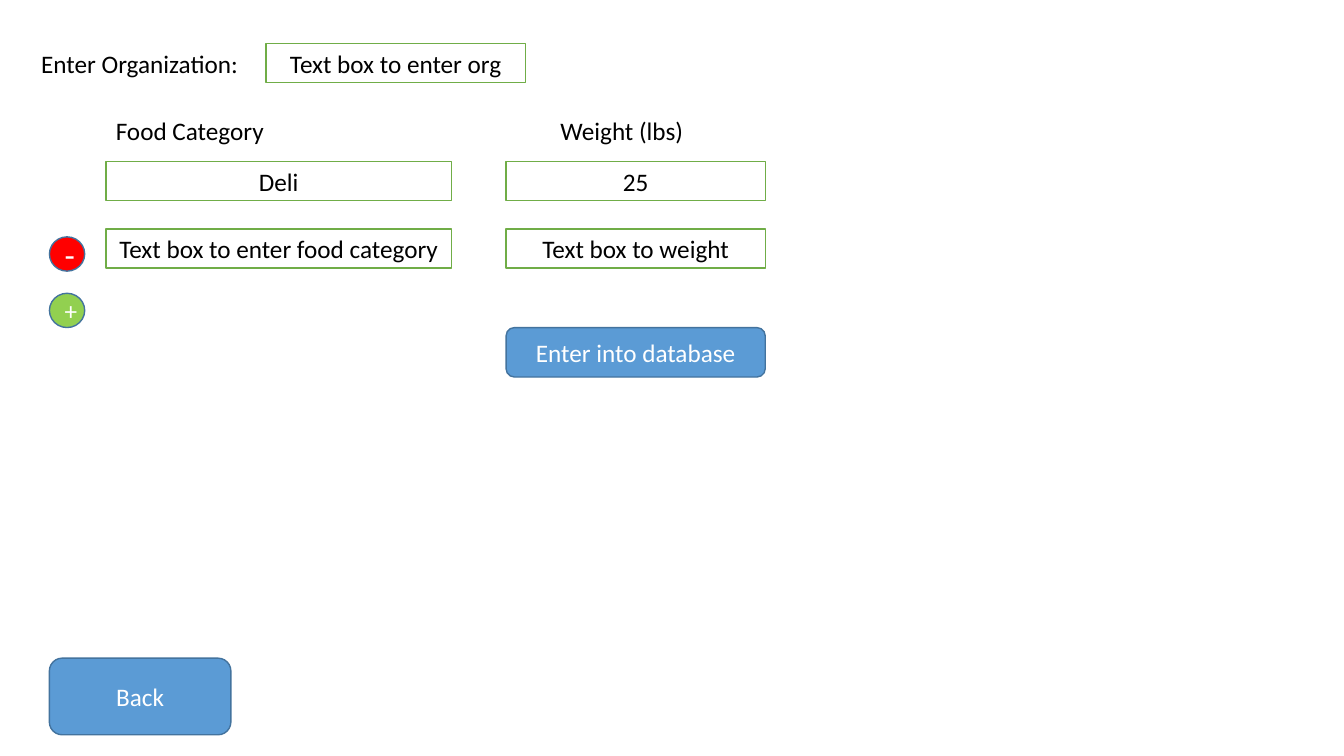
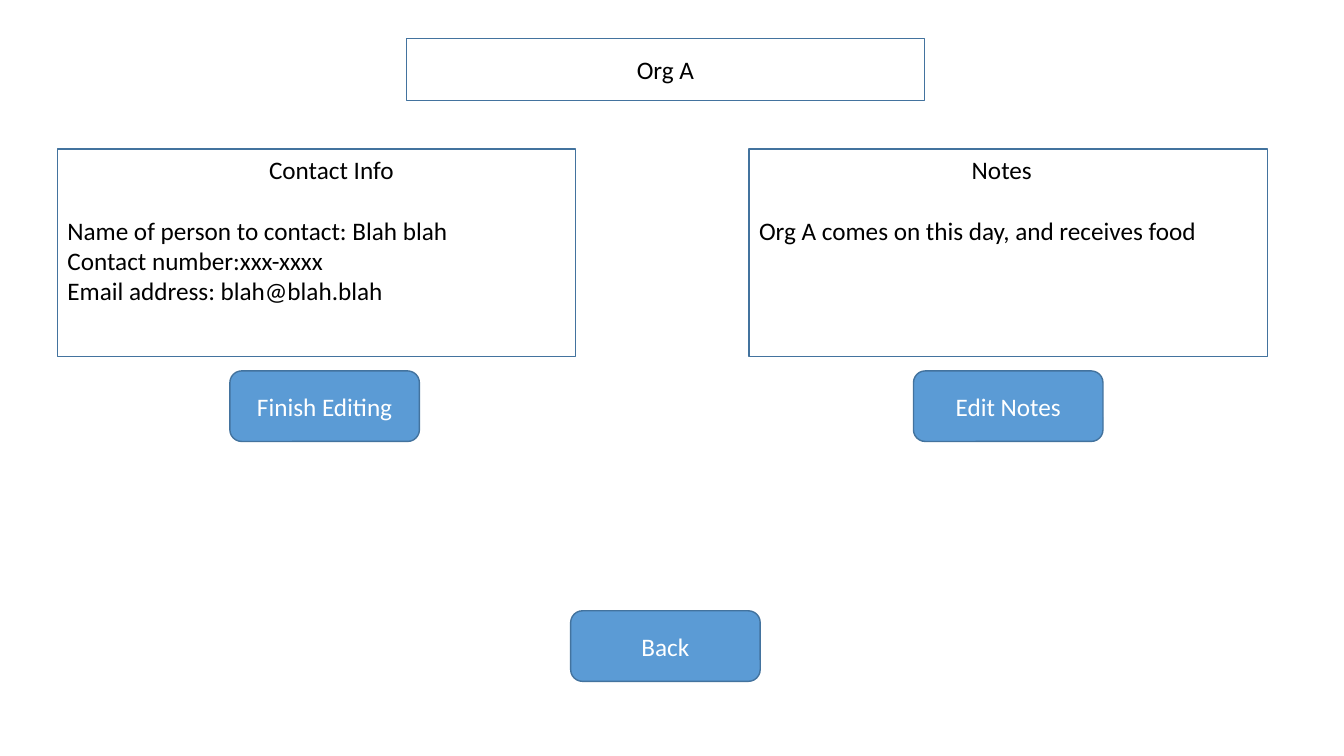
from pptx import Presentation
from pptx.dml.color import RGBColor
from pptx.enum.shapes import MSO_SHAPE
from pptx.enum.text import MSO_ANCHOR, MSO_AUTO_SIZE, PP_ALIGN
from pptx.util import Inches, Pt

RECTANGLE = MSO_SHAPE.RECTANGLE
ROUNDED = MSO_SHAPE.ROUNDED_RECTANGLE
OVAL = MSO_SHAPE.OVAL
MIDDLE, TOP = MSO_ANCHOR.MIDDLE, MSO_ANCHOR.TOP
CENTER, LEFT = PP_ALIGN.CENTER, PP_ALIGN.LEFT
FIT_SHAPE = MSO_AUTO_SIZE.SHAPE_TO_FIT_TEXT

BLACK = RGBColor(0x00, 0x00, 0x00)
WHITE = RGBColor(0xFF, 0xFF, 0xFF)
BLUE = RGBColor(0x5B, 0x9B, 0xD5)
DARK_BLUE = RGBColor(0x43, 0x73, 0x9E)
GREEN = RGBColor(0x70, 0xAD, 0x47)
LIME = RGBColor(0x92, 0xD0, 0x50)
RED = RGBColor(0xFF, 0x00, 0x00)

FONT = "Calibri"
TEXT_SIZE = 18
BLANK_LAYOUT = 6

FIELD_HEIGHT = 0.39
CATEGORY_LEFT, CATEGORY_WIDTH = 1.05, 3.43
WEIGHT_LEFT, WEIGHT_WIDTH = 5.02, 2.57
MARGIN_LEFT = 0.49
PANEL_WIDTH = 5.14
PANEL_TOP, PANEL_HEIGHT = 1.48, 2.06
BUTTON_WIDTH, BUTTON_HEIGHT = 1.88, 0.7
BUTTON_TOP = 3.68


def write(box, text, color, align, size=TEXT_SIZE):
    frame = box.text_frame
    frame.word_wrap = True
    frame.text = text
    for paragraph in frame.paragraphs:
        paragraph.alignment = align
        for span in paragraph.runs:
            span.font.name = FONT
            span.font.size = Pt(size)
            span.font.color.rgb = color


def add_box(page, kind, place, text, fill, line, color, size=TEXT_SIZE):
    box = page.shapes.add_shape(kind, *map(Inches, place))
    box.shadow.inherit = False
    if fill is None:
        box.fill.background()
    else:
        box.fill.solid()
        box.fill.fore_color.rgb = fill
    box.line.color.rgb = line
    box.line.width = Pt(1)
    write(box, text, color, CENTER, size)
    box.text_frame.vertical_anchor = MIDDLE
    return box


def add_label(page, left, top, width, text):
    box = page.shapes.add_textbox(*map(Inches, (left, top, width, 0.4)))
    write(box, text, BLACK, LEFT)
    box.text_frame.auto_size = FIT_SHAPE


def add_field(page, left, top, width, text):
    place = (left, top, width, FIELD_HEIGHT)
    add_box(page, RECTANGLE, place, text, WHITE, GREEN, BLACK)


def add_button(page, left, top, text, width=BUTTON_WIDTH, height=BUTTON_HEIGHT):
    place = (left, top, width, height)
    add_box(page, ROUNDED, place, text, BLUE, DARK_BLUE, WHITE)


def add_round_button(page, top, text, fill, size):
    place = (MARGIN_LEFT, top, 0.35, 0.34)
    add_box(page, OVAL, place, text, fill, DARK_BLUE, WHITE, size)


def add_panel(page, left, heading, heading_indent, lines):
    place = (left, PANEL_TOP, PANEL_WIDTH, PANEL_HEIGHT)
    text = "\n".join([heading, *lines])
    box = add_box(page, RECTANGLE, place, text, None, DARK_BLUE, BLACK)
    box.text_frame.vertical_anchor = TOP
    for paragraph in box.text_frame.paragraphs:
        paragraph.alignment = LEFT
    title = box.text_frame.paragraphs[0]
    title.space_after = Pt(22)
    title._p.get_or_add_pPr().set("marL", str(Inches(heading_indent)))


def build_entry_page(page):
    add_label(page, 0.31, 0.43, 2.32, "Enter Organization:")
    add_field(page, 2.64, 0.43, WEIGHT_WIDTH, "Text box to enter org")
    add_label(page, CATEGORY_LEFT, 1.09, 3.03, "Food Category")
    add_label(page, 5.46, 1.09, 3.03, "Weight (lbs)")
    rows = [
        (1.6, "Deli", "25"),
        (2.27, "Text box to enter food category", "Text box to weight"),
    ]
    for top, category, weight in rows:
        add_field(page, CATEGORY_LEFT, top, CATEGORY_WIDTH, category)
        add_field(page, WEIGHT_LEFT, top, WEIGHT_WIDTH, weight)
    add_round_button(page, 2.35, "-", RED, 24)
    add_round_button(page, 2.91, "+", LIME, TEXT_SIZE)
    add_button(page, WEIGHT_LEFT, 3.25, "Enter into database", WEIGHT_WIDTH, 0.49)
    add_button(page, MARGIN_LEFT, 6.53, "Back", 1.8, 0.76)


def build_organization_page(page):
    title_place = (4.03, 0.38, PANEL_WIDTH, 0.62)
    add_box(page, RECTANGLE, title_place, "Org A", None, DARK_BLUE, BLACK)
    contact_lines = [
        "Name of person to contact: Blah blah",
        "Contact number:xxx-xxxx",
        "Email address: blah@blah.blah",
    ]
    add_panel(page, 0.57, "Contact Info", 2, contact_lines)
    add_panel(page, 7.43, "Notes", 2.11, ["Org A comes on this day, and receives food"])
    add_button(page, 2.28, BUTTON_TOP, "Finish Editing")
    add_button(page, 9.06, BUTTON_TOP, "Edit Notes")
    add_button(page, 5.66, 6.06, "Back")


def main():
    deck = Presentation()
    deck.slide_width = Inches(13.33)
    deck.slide_height = Inches(7.5)
    for build in (build_entry_page, build_organization_page):
        build(deck.slides.add_slide(deck.slide_layouts[BLANK_LAYOUT]))
    deck.save("out.pptx")


if __name__ == "__main__":
    main()
